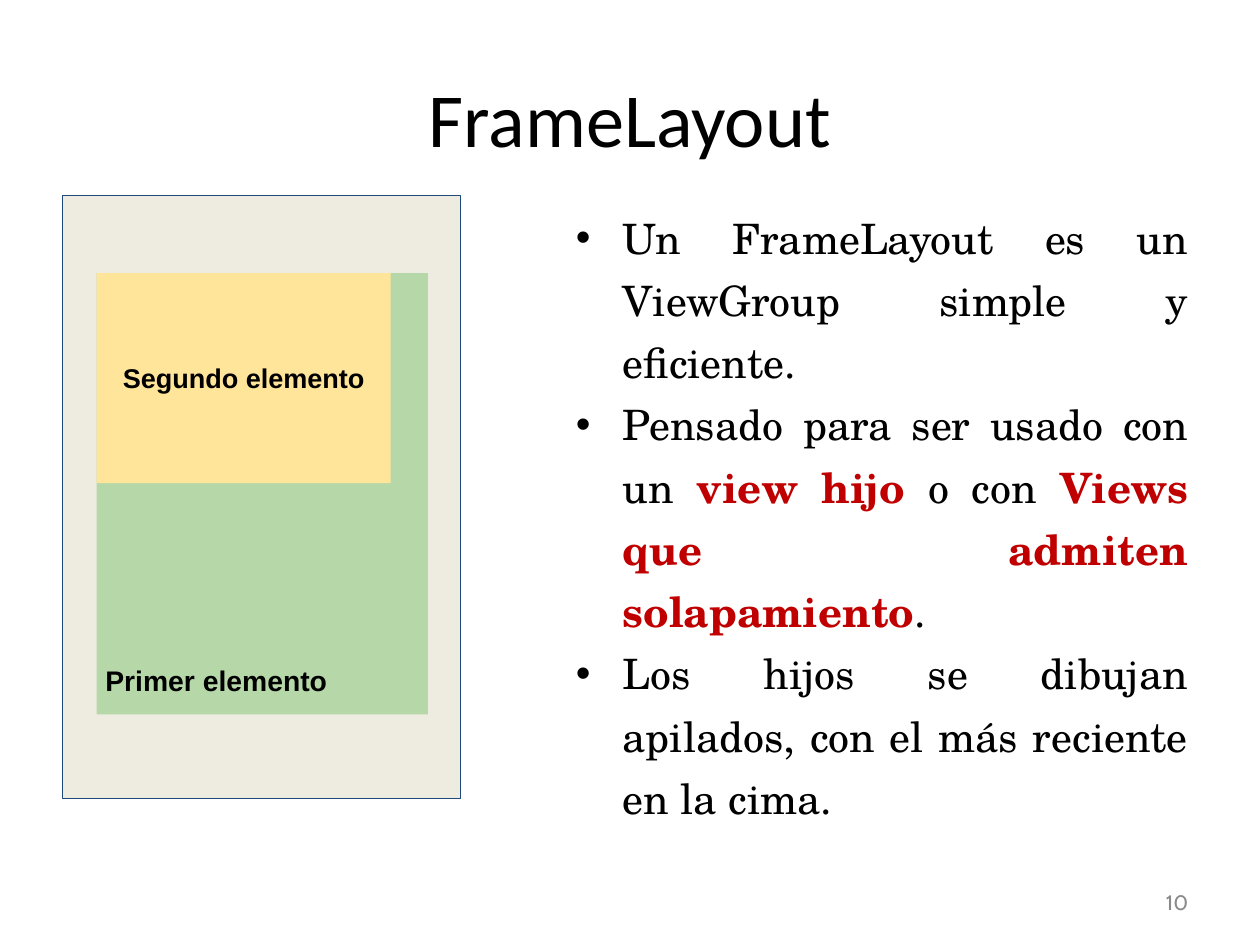
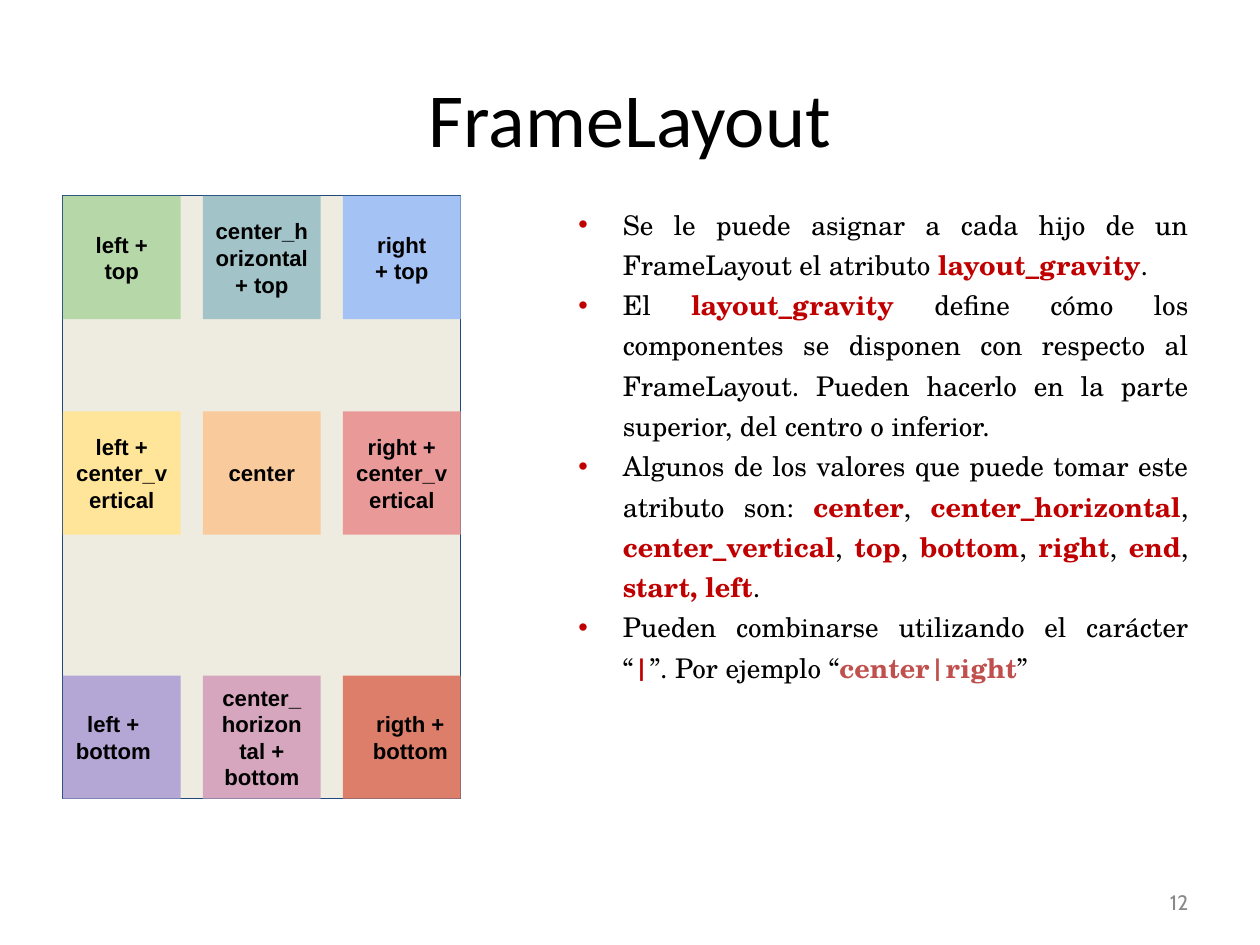
from dataclasses import dataclass

from lxml import etree
from pptx import Presentation
from pptx.dml.color import RGBColor
from pptx.enum import shapes, text
from pptx.oxml import ns
from pptx.util import Inches, Pt


@dataclass(frozen=True)
class Theme:
    ink: str = "000000"
    accent: str = "C00000"
    soft_accent: str = "C0504D"
    footer: str = "898989"
    screen: str = "EEECE1"
    screen_line: str = "1F497D"
    green: str = "B6D7A8"
    yellow: str = "FFE599"
    title_font: str = "Calibri"
    body_font: str = "TeX Gyre Schola"
    label_font: str = "Arial"
    footer_font: str = "Cabin"
    title_size: int = 62
    footer_size: int = 17
    tile_size: int = 18


T = Theme()
ALIGN = text.PP_ALIGN
ANCHOR = text.MSO_ANCHOR


def key(words, color=T.accent):
    """A bold, coloured run of body text."""
    return words, color


TITLE = "FrameLayout"

OVERVIEW = [
    ["Un FrameLayout es un ViewGroup simple y eficiente."],
    ["Pensado para ser usado con un ", key("view hijo"), " o con ",
     key("Views que admiten solapamiento"), "."],
    ["Los hijos se dibujan apilados, con el más reciente en la cima."],
]

GRAVITY = [
    ["Se le puede asignar a cada hijo de un FrameLayout el atributo ",
     key("layout_gravity"), "."],
    ["El ", key("layout_gravity"),
     " define cómo los componentes se disponen con respecto al FrameLayout. "
     "Pueden hacerlo en la parte superior, del centro o inferior."],
    ["Algunos de los valores que puede tomar este atributo son: ",
     key("center"), ", ", key("center_horizontal"), ", ",
     key("center_vertical"), ", ", key("top"), ", ", key("bottom"), ", ",
     key("right"), ", ", key("end"), ", ", key("start, left"), "."],
    ["Pueden combinarse utilizando el carácter “", key("|"),
     "”. Por ejemplo “", key("center|right", T.soft_accent), "”"],
]

# Each tile: label, fill, left and right text margins
GRAVITY_TILES = [
    [("left + top", T.green, 0.29, 0.29),
     ("center_horizontal + top", "A2C4C9", 0.1, 0.1),
     ("right + top", "A4C2F4", 0.29, 0.29)],
    [("left + center_vertical", T.yellow, 0.1, 0.1),
     ("center", "F9CB9C", 0.2, 0.2),
     ("right + center_vertical", "EA9999", 0.1, 0.1)],
    [("left + bottom", "B4A7D6", 0.1, 0.29),
     ("center_horizontal + bottom", "D5A6BD", 0.2, 0.2),
     ("rigth + bottom", "DD7E6B", 0.29, 0.1)],
]

SCREEN = (0.71, 2.2, 4.49, 6.81)
TILE_W, TILE_H = 1.33, 1.39
TILE_TOPS = (2.21, 4.64, 7.62)


def write(sp, paragraphs, name, size, color=T.ink, bold=False,
          align=ALIGN.LEFT, anchor=ANCHOR.MIDDLE, margins=(0.1, 0.05, 0.1, 0.05)):
    """Fill a shape with paragraphs, each a list of plain or key runs."""
    tf = sp.text_frame
    tf.word_wrap = True
    tf.vertical_anchor = anchor
    (tf.margin_left, tf.margin_top,
     tf.margin_right, tf.margin_bottom) = map(Inches, margins)
    for i, runs in enumerate(paragraphs):
        p = tf.add_paragraph() if i else tf.paragraphs[0]
        p.alignment = align
        set_font(p.font, name, size, color, bold)
        for run in runs:
            is_key = isinstance(run, tuple)
            words, run_color = run if is_key else (run, color)
            r = p.add_run()
            r.text = words
            set_font(r.font, name, size, run_color, bold or is_key)
    return tf


def set_font(font, name, size, color, bold):
    font.name, font.size, font.bold = name, Pt(size), bold
    font.color.rgb = RGBColor.from_string(color)


def add_text(s, box, words, **style):
    return write(s.shapes.add_textbox(*map(Inches, box)), words, **style)


def add_rect(s, box, fill, line=None):
    sp = s.shapes.add_shape(shapes.MSO_SHAPE.RECTANGLE, *map(Inches, box))
    sp.shadow.inherit = False
    sp.fill.solid()
    sp.fill.fore_color.rgb = RGBColor.from_string(fill)
    if line:
        sp.line.color.rgb = RGBColor.from_string(line)
        sp.line.width = Pt(0.75)
    else:
        sp.line.fill.background()
    return sp


def add_bullet(p, color, hanging):
    pPr = p._p.get_or_add_pPr()
    pPr.set("marL", str(Inches(0.53)))
    pPr.set("indent", str(-Inches(hanging)))
    bu_color = etree.Element(ns.qn("a:buClr"))
    etree.SubElement(bu_color, ns.qn("a:srgbClr"), val=color)
    bu_font = etree.Element(ns.qn("a:buFont"), typeface="Arial")
    bu_char = etree.Element(ns.qn("a:buChar"), char="•")
    default_font = pPr.find(ns.qn("a:defRPr"))
    for el in (bu_color, bu_font, bu_char):
        default_font.addprevious(el)


def add_frame_slide(prs, number, body, size, bullet_color, hanging):
    """Add the title, page number, screen panel and bullets of a slide."""
    s = prs.slides.add_slide(prs.slide_layouts[6])
    add_text(s, (10.19, 9.89, 3.32, 0.57), [[number]], name=T.footer_font,
             size=T.footer_size, color=T.footer, align=ALIGN.RIGHT)
    add_text(s, (0.71, 0.43, 12.8, 1.78), [[TITLE]], name=T.title_font,
             size=T.title_size, align=ALIGN.CENTER)
    add_rect(s, SCREEN, T.screen, T.screen_line)
    tf = add_text(s, (6.4, 2.21, 7.11, 5.6), body, name=T.body_font, size=size,
                  align=ALIGN.JUSTIFY, anchor=ANCHOR.TOP)
    for p in tf.paragraphs:
        p.line_spacing = 1.24
        add_bullet(p, bullet_color, hanging)
    return s


def add_stack(s):
    first = add_rect(s, (1.09, 3.08, 3.74, 4.98), T.green)
    write(first, [["Primer elemento"]], T.label_font, 23, bold=True,
          anchor=ANCHOR.BOTTOM, margins=(0.1, 0.1, 0.1, 0.2))
    second = add_rect(s, (1.09, 3.08, 3.32, 2.37), T.yellow)
    write(second, [["Segundo elemento"]], T.label_font, 22, bold=True,
          align=ALIGN.CENTER)


def add_gravity_grid(s):
    left, _, width, _ = SCREEN
    pitch = (width - TILE_W) / 2
    for top, row in zip(TILE_TOPS, GRAVITY_TILES):
        for col, (label, fill, margin_l, margin_r) in enumerate(row):
            tile = add_rect(s, (left + col * pitch, top, TILE_W, TILE_H), fill)
            write(tile, [[label]], T.label_font, T.tile_size, bold=True,
                  align=ALIGN.CENTER, margins=(margin_l, 0, margin_r, 0))


def main():
    prs = Presentation()
    prs.slide_width, prs.slide_height = Inches(14.22), Inches(10.66)
    add_stack(add_frame_slide(prs, "10", OVERVIEW, 34, T.ink, 0.58))
    add_gravity_grid(add_frame_slide(prs, "12", GRAVITY, 22, T.accent, 0.5))
    prs.save("out.pptx")


if __name__ == "__main__":
    main()
